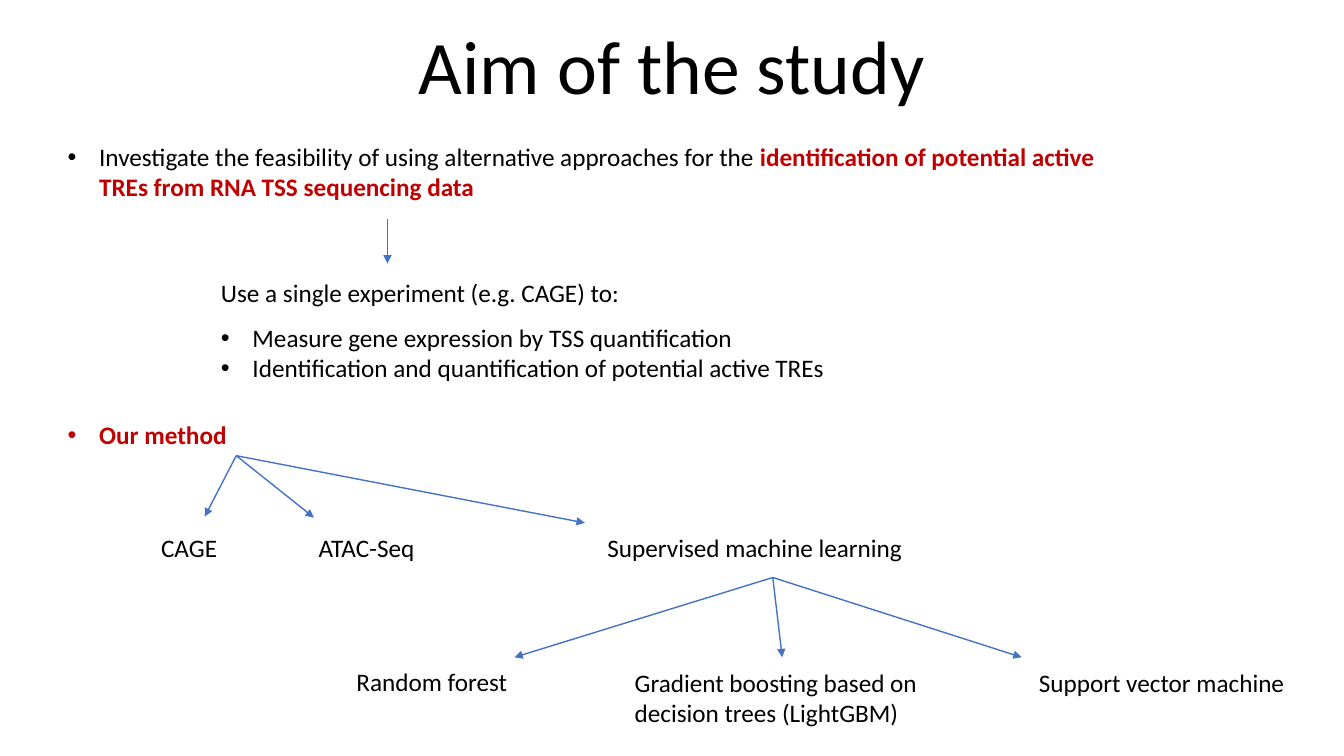
from lxml import etree
from pptx import Presentation
from pptx.dml.color import RGBColor
from pptx.enum.shapes import MSO_CONNECTOR
from pptx.enum.text import PP_ALIGN
from pptx.oxml.ns import qn
from pptx.util import Pt

EMU_PER_PX = 9525
STRAIGHT = MSO_CONNECTOR.STRAIGHT
LEFT, CENTER = PP_ALIGN.LEFT, PP_ALIGN.CENTER
BLACK, RED, BLUE = "000000", "C00000", "4472C4"


def px(length):
    return length * EMU_PER_PX


def color(hex_code):
    return RGBColor.from_string(hex_code)


def write(paragraph, text, size=18, ink=BLACK, bold=False, font="Calibri"):
    run = paragraph.add_run()
    run.text = text
    run.font.name = font
    run.font.size = Pt(size)
    run.font.bold = bold
    run.font.color.rgb = color(ink)


def add_bullet(paragraph, indent=30):
    """Give the paragraph a round bullet with a hanging indent in px."""
    properties = paragraph._p.get_or_add_pPr()
    properties.set("marL", str(px(indent)))
    properties.set("indent", str(-px(indent)))
    etree.SubElement(properties, qn("a:buFont"), typeface="Arial")
    etree.SubElement(properties, qn("a:buChar"), char="•")


class StudySlide:
    def __init__(self, presentation):
        self.slide = presentation.slides.add_slide(presentation.slide_layouts[6])
        self.arrow_color = BLUE
        self.arrow_width = Pt(1)

    def text_frame(self, left, top, width, height):
        box = self.slide.shapes.add_textbox(px(left), px(top), px(width), px(height))
        box.text_frame.word_wrap = True
        return box.text_frame

    def label(self, text, left, top, width, height=38, align=LEFT, **style):
        paragraph = self.text_frame(left, top, width, height).paragraphs[0]
        paragraph.alignment = align
        write(paragraph, text, **style)
        return paragraph

    def bullet(self, text, left, top, width, height=38, **style):
        paragraph = self.label(text, left, top, width, height, **style)
        add_bullet(paragraph)
        return paragraph

    def arrow(self, start, end):
        line = self.slide.shapes.add_connector(STRAIGHT, *map(px, start + end))
        line.line.color.rgb = color(self.arrow_color)
        line.line.width = self.arrow_width
        etree.SubElement(line.line._get_or_add_ln(), qn("a:tailEnd"), type="triangle")
        etree.SubElement(line._element.spPr, qn("a:effectLst"))

    def fan(self, start, ends):
        """Draw arrows from one point to several."""
        for end in ends:
            self.arrow(start, end)


def main():
    presentation = Presentation()
    presentation.slide_width, presentation.slide_height = px(1280), px(720)
    page = StudySlide(presentation)

    page.label("Aim of the study", 0, 13, 1280, 97, align=CENTER, size=54)
    aim = page.bullet(
        "Investigate the feasibility of using alternative approaches for the ",
        55, 130, 1025, 68)
    write(aim, "identification of potential active TREs from RNA TSS sequencing data",
          ink=RED, bold=True)
    page.arrow((369, 209), (369, 251))

    experiment = page.text_frame(201, 259, 608, 170)
    write(experiment.paragraphs[0], "Use a single experiment (e.g. CAGE) to:")
    for goal, spacing in (
        ("Measure gene expression by TSS quantification", 1.5),
        ("Identification and quantification of potential active TREs", 1.0),
    ):
        paragraph = experiment.add_paragraph()
        paragraph.line_spacing = spacing
        add_bullet(paragraph)
        write(paragraph, goal)

    page.bullet("Our method", 55, 395, 1025, ink=RED, bold=True)
    page.fan((225, 434), [(195, 492), (299, 493), (557, 498)])
    for part, left, width in (
        ("CAGE", 144, 100),
        ("ATAC-Seq", 294, 140),
        ("Supervised machine learning", 569, 330),
    ):
        page.label(part, left, 502, width)

    page.fan((736, 550), [(490, 626), (745, 626), (973, 626)])
    for model, left, top, width, height in (
        ("Random forest", 330, 630, 195, 38),
        ("Gradient boosting based on decision trees (LightGBM)", 595, 631, 319, 68),
        ("Support vector machine", 980, 631, 300, 38),
    ):
        page.label(model, left, top, width, height)

    presentation.save("out.pptx")


if __name__ == "__main__":
    main()
